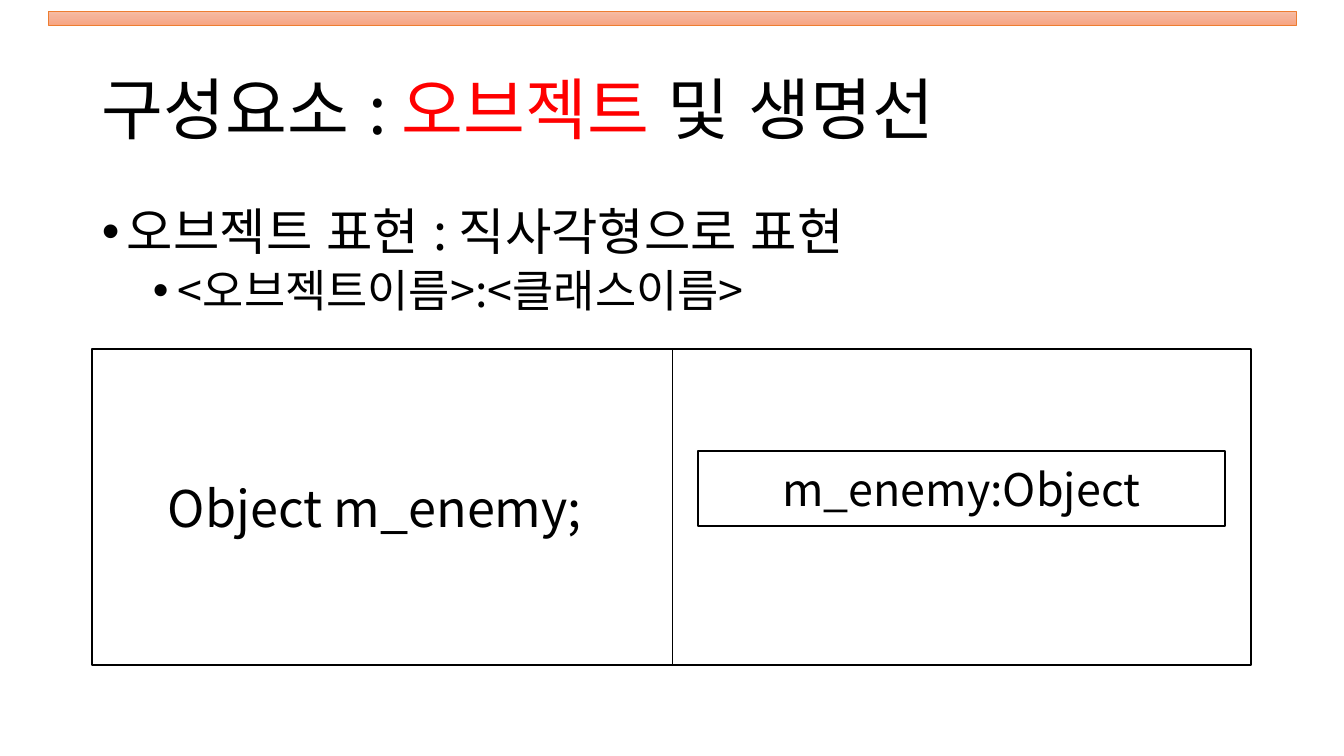
from copy import deepcopy

from lxml import etree
from pptx import Presentation
from pptx.dml.color import RGBColor
from pptx.enum.shapes import MSO_CONNECTOR, MSO_SHAPE
from pptx.enum.text import MSO_ANCHOR, PP_ALIGN
from pptx.oxml.ns import qn
from pptx.util import Pt

RECT = MSO_SHAPE.RECTANGLE
LINE = MSO_CONNECTOR.STRAIGHT
MID, TOP = MSO_ANCHOR.MIDDLE, MSO_ANCHOR.TOP
LEFT, CENTER = PP_ALIGN.LEFT, PP_ALIGN.CENTER

SCALE = 914400 / 100.8
FONT = "Noto Sans CJK KR"
COLORS = {"ink": "000000", "paper": "FFFFFF", "mark": "FF0000", "edge": "ED7D31"}
FADE = [(0, "F7BDA5"), (0.5, "F5B196"), (1, "F8A582")]


def px(*nums):
    return [round(n * SCALE) for n in nums]


def rgb(name):
    return RGBColor.from_string(COLORS[name])


def add_run(par, text, size, color="ink"):
    run = par.add_run()
    run.text = text
    for key, value in {"name": FONT, "size": Pt(size)}.items():
        setattr(run.font, key, value)
    run.font.color.rgb = rgb(color)
    # Hangul takes its face from the East Asian font
    props = run.font._element
    props.set("lang", "ko-KR")
    etree.SubElement(props, qn("a:ea"), typeface=FONT)


def add_text(slide, box, anchor=TOP, wrap=True):
    frame = slide.shapes.add_textbox(*px(*box)).text_frame
    for key, value in {"word_wrap": wrap, "vertical_anchor": anchor}.items():
        setattr(frame, key, value)
    return frame


def set_par(par, form):
    for key, value in form.items():
        setattr(par, key, value)


def add_bullet(par, indent):
    props = par._p.get_or_add_pPr()
    left, hang = px(indent, 25)
    props.set("marL", str(left))
    props.set("indent", str(-hang))
    etree.SubElement(props, qn("a:buFont"), typeface="Arial")
    etree.SubElement(props, qn("a:buChar"), char="•")


def add_rect(slide, box, edge="ink", width=1):
    shape = slide.shapes.add_shape(RECT, *px(*box))
    shape.shadow.inherit = False
    shape.fill.solid()
    shape.fill.fore_color.rgb = rgb("paper")
    shape.line.color.rgb = rgb(edge)
    shape.line.width = Pt(width)
    return shape


def add_fade(shape):
    fill = shape.fill
    fill.gradient()
    fill.gradient_angle = 270
    first = fill.gradient_stops[0]._gs
    first.addnext(deepcopy(first))
    for stop, (place, color) in zip(fill.gradient_stops, FADE):
        stop.position = place
        stop.color.rgb = RGBColor.from_string(color)


def add_line(slide, ends):
    line = slide.shapes.add_connector(LINE, *px(*ends))
    line.line.color.rgb = rgb("ink")
    line.line.width = Pt(0.5)
    etree.SubElement(line._element.spPr, qn("a:effectLst"))


def main():
    deck = Presentation()
    deck.slide_width, deck.slide_height = px(1344, 756)
    slide = deck.slides.add_slide(deck.slide_layouts[6])

    # Title
    title = add_text(slide, (92, 40, 1159, 146), MID).paragraphs[0]
    set_par(title, {"line_spacing": 0.9, "alignment": LEFT})
    for text, color in [("구성요소 : ", "ink"), ("오브젝트", "mark"),
                        (" 및 생명선", "ink")]:
        add_run(title, text, 48, color)

    # Bullets
    body = add_text(slide, (92, 202, 1159, 480))
    rows = [("오브젝트 표현 : 직사각형으로 표현", 36, 25, 0),
            ("<오브젝트이름>:<클래스이름>", 32, 76, 5)]
    for row, (text, size, indent, space) in enumerate(rows):
        par = body.add_paragraph() if row else body.paragraphs[0]
        add_bullet(par, indent)
        set_par(par, {"line_spacing": 0.9, "space_before": Pt(space)})
        add_run(par, text, size)

    # Top band
    add_fade(add_rect(slide, (48, 11, 1248, 14), "edge", 0.5))

    # Frame with code on the left and the object box on the right
    add_rect(slide, (92, 349, 1159, 316))
    add_line(slide, (672, 349, 672, 665))
    code = add_text(slide, (158, 472, 448, 72))
    add_run(code.paragraphs[0], "Object m_enemy;", 36)

    frame = add_rect(slide, (698, 451, 527, 75)).text_frame
    frame.vertical_anchor = MID
    frame.paragraphs[0].alignment = CENTER
    add_run(frame.paragraphs[0], "m_enemy:Object", 32)

    deck.save("out.pptx")


if __name__ == "__main__":
    main()
